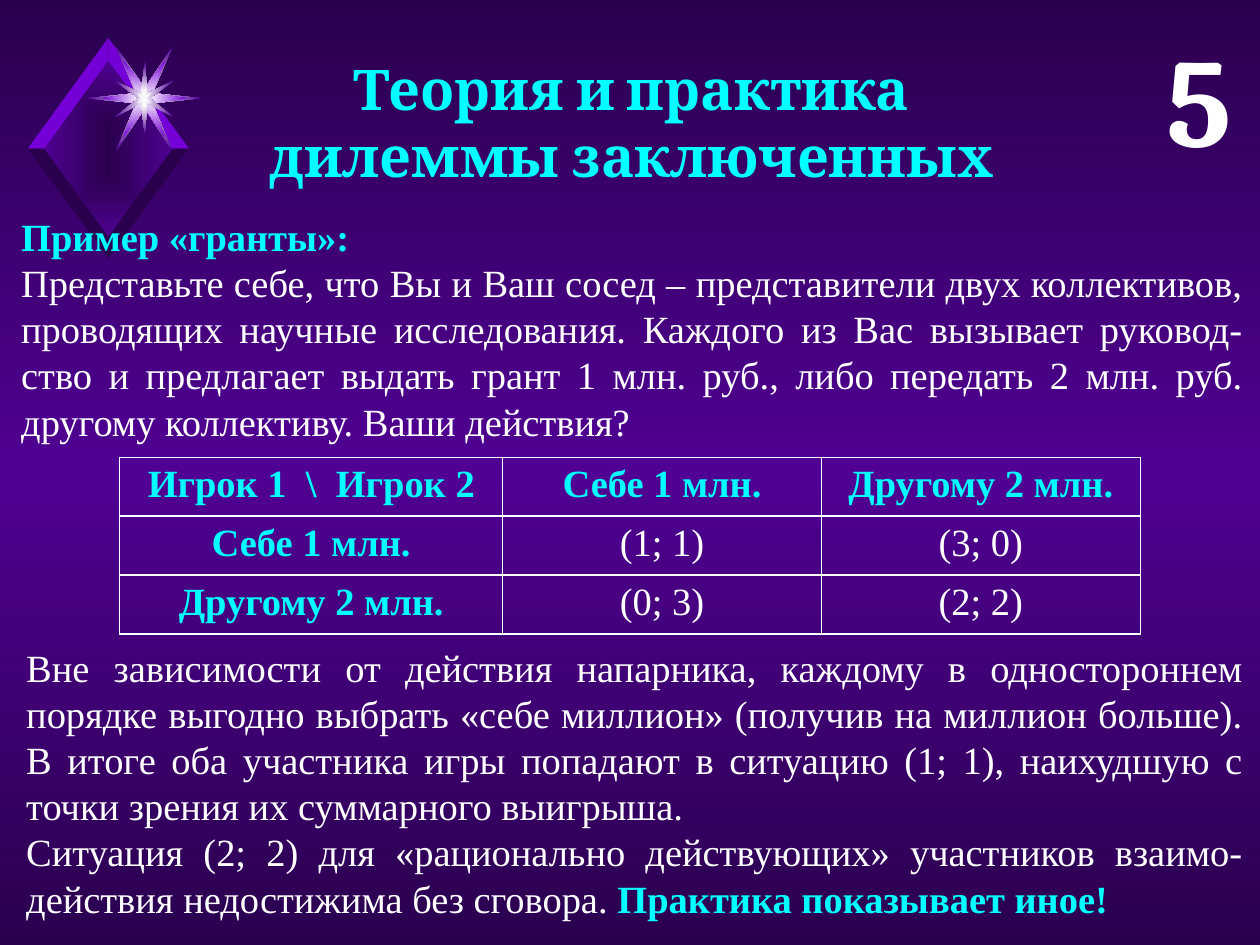
"""Slide on the prisoner's dilemma with a payoff table for the grants example."""
from lxml import etree
from pptx import Presentation
from pptx.dml.color import RGBColor
from pptx.enum.text import MSO_ANCHOR, PP_ALIGN
from pptx.oxml import parse_xml
from pptx.oxml.ns import nsdecls, qn
from pptx.util import Inches, Pt

CENTER, RIGHT, JUSTIFY = PP_ALIGN.CENTER, PP_ALIGN.RIGHT, PP_ALIGN.JUSTIFY
TOP = MSO_ANCHOR.TOP
C = {"dark": "2A004E", "mid": "500093", "bright": "7500D7",
     "white": "FFFFFF", "pale": "F9F9F9", "cyan": "00FFFF"}
SERIF, HEAD = "Times New Roman", "Cambria"


def set_gradient(fill, owner, colors, direction):
    fill.gradient()
    grad = owner.find(".//" + qn("a:gradFill"))
    for child in list(grad):
        grad.remove(child)
    stops = etree.SubElement(grad, qn("a:gsLst"))
    for i, name in enumerate(colors):
        pos = 100000 * i // (len(colors) - 1)
        gs = etree.SubElement(stops, qn("a:gs"), pos=str(pos))
        etree.SubElement(gs, qn("a:srgbClr"), val=C[name])
    grad.append(parse_xml(direction))


def write(tf, paragraphs, align, size, font):
    tf.word_wrap = True
    for i, runs in enumerate(paragraphs):
        p = tf.paragraphs[0] if i == 0 else tf.add_paragraph()
        p.alignment = align
        for text, color, bold in runs:
            r = p.add_run()
            r.text = text
            r.font.size = Pt(size)
            r.font.name = font
            r.font.bold = bold
            r.font.color.rgb = RGBColor.from_string(C[color])


prs = Presentation()
prs.slide_width, prs.slide_height = Inches(10), Inches(7.5)
s = prs.slides.add_slide(prs.slide_layouts[6])

vertical = f'<a:lin {nsdecls("a")} ang="5400000" scaled="0"/>'
from_center = (f'<a:path {nsdecls("a")} path="rect">'
               '<a:fillToRect l="50000" t="50000" r="50000" b="50000"/></a:path>')
set_gradient(s.background.fill, s.element, ["dark", "mid", "dark"], vertical)

ornament = [
    (["dark", "mid"], [(0.86, 0.47), (0.34, 1.18), (0.86, 1.89), (1.38, 1.18)]),
    (["bright"], [(0.86, 0.48), (0.86, 0.3), (1.5, 1.18), (1.37, 1.18)]),
    (["bright"], [(0.86, 0.3), (0.86, 0.48), (0.35, 1.18), (0.22, 1.18)]),
    (["dark"], [(1.37, 1.18), (1.5, 1.18), (0.86, 2.05), (0.86, 1.88)]),
    (["dark"], [(0.35, 1.18), (0.86, 1.88), (0.86, 2.05), (0.22, 1.18)]),
    (["white", "mid"],
     [(1.08, 0.74), (0.92, 0.37), (1.15, 0.7), (1.37, 0.37), (1.21, 0.74), (1.6, 0.78),
      (1.21, 0.82), (1.37, 1.2), (1.15, 0.86), (0.92, 1.2), (1.08, 0.82), (0.69, 0.78)]),
    (["white", "bright"],
     [(1.08, 0.74), (0.98, 0.48), (1.15, 0.7), (1.31, 0.48), (1.21, 0.74), (1.48, 0.78),
      (1.21, 0.82), (1.31, 1.09), (1.15, 0.86), (0.98, 1.09), (1.08, 0.82), (0.81, 0.78)]),
    (["white", "mid"],
     [(0.91, 0.64), (1.12, 0.74), (1.15, 0.49), (1.17, 0.74), (1.38, 0.64), (1.19, 0.78),
      (1.38, 0.93), (1.17, 0.82), (1.15, 1.07), (1.12, 0.82), (0.91, 0.93), (1.1, 0.78)]),
    (["pale"],
     [(1.09, 0.74), (1.13, 0.76), (1.14, 0.71), (1.15, 0.76), (1.2, 0.74), (1.16, 0.78),
      (1.2, 0.82), (1.15, 0.8), (1.14, 0.85), (1.13, 0.8), (1.09, 0.82), (1.12, 0.78)]),
]
group = s.shapes.add_group_shape()
for colors, points in ornament:
    pts = [(Inches(x), Inches(y)) for x, y in points]
    builder = group.shapes.build_freeform(*pts[0])
    builder.add_line_segments(pts[1:], close=True)
    sp = builder.convert_to_shape()
    sp.shadow.inherit = False
    sp.line.fill.background()
    if len(colors) > 1:
        set_gradient(sp.fill, sp.element, colors, from_center)
    else:
        sp.fill.solid()
        sp.fill.fore_color.rgb = RGBColor.from_string(C[colors[0]])

title = [[("Теория и практика", "cyan", True)],
         [("дилеммы заключенных", "cyan", True)]]
example = [
    [("Пример «гранты»:", "cyan", True)],
    [("Представьте себе, что Вы и Ваш сосед – представители двух коллективов, "
      "проводящих научные исследования. Каждого из Вас вызывает руковод-ство и "
      "предлагает выдать грант 1 млн. руб., либо передать 2 млн. руб. другому "
      "коллективу. Ваши действия?", "white", False)],
]
conclusion = [
    [("Вне зависимости от действия напарника, каждому в одностороннем порядке "
      "выгодно выбрать «себе миллион» (получив на миллион больше). В итоге оба "
      "участника игры попадают в ситуацию (1; 1), наихудшую с точки зрения их "
      "суммарного выигрыша.", "white", False)],
    [("Ситуация (2; 2) для «рационально действующих» участников взаимо-действия "
      "недостижима без сговора. ", "white", False),
     ("Практика показывает иное!", "cyan", True)],
]
boxes = [
    ((0.2, 0.38, 9.62, 1.18), title, CENTER, 32, HEAD),
    ((8.63, 0.12, 1.25, 1.31), [[("5", "white", True)]], RIGHT, 72, HEAD),
    ((0.07, 1.64, 9.89, 1.95), example, JUSTIFY, 22, SERIF),
    ((0.11, 5.06, 9.85, 2.32), conclusion, JUSTIFY, 22, SERIF),
]
for place, paragraphs, align, size, font in boxes:
    tf = s.shapes.add_textbox(*map(Inches, place)).text_frame
    write(tf, paragraphs, align, size, font)

payoffs = [
    ["Игрок 1  \\  Игрок 2", "Себе 1 млн.", "Другому 2 млн."],
    ["Себе 1 млн.", "(1; 1)", "(3; 0)"],
    ["Другому 2 млн.", "(0; 3)", "(2; 2)"],
]
frame = s.shapes.add_table(3, 3, Inches(0.95), Inches(3.63), Inches(8.1), Inches(1.4))
table = frame.table
table.first_row = table.horz_banding = False
for column, width in zip(table.columns, (3.04, 2.53, 2.53)):
    column.width = Inches(width)
for i, row in enumerate(payoffs):
    for j, text in enumerate(row):
        cell = table.cell(i, j)
        cell.vertical_anchor = TOP
        header = i == 0 or j == 0
        write(cell.text_frame, [[(text, "cyan" if header else "white", header)]],
              CENTER, 22, SERIF)
        tcPr = cell._tc.get_or_add_tcPr()
        for side in ("lnL", "lnR", "lnT", "lnB"):
            ln = etree.SubElement(tcPr, qn("a:" + side), w=str(Pt(1)))
            solid = etree.SubElement(ln, qn("a:solidFill"))
            etree.SubElement(solid, qn("a:srgbClr"), val=C["white"])
        cell.fill.background()

prs.save("out.pptx")
